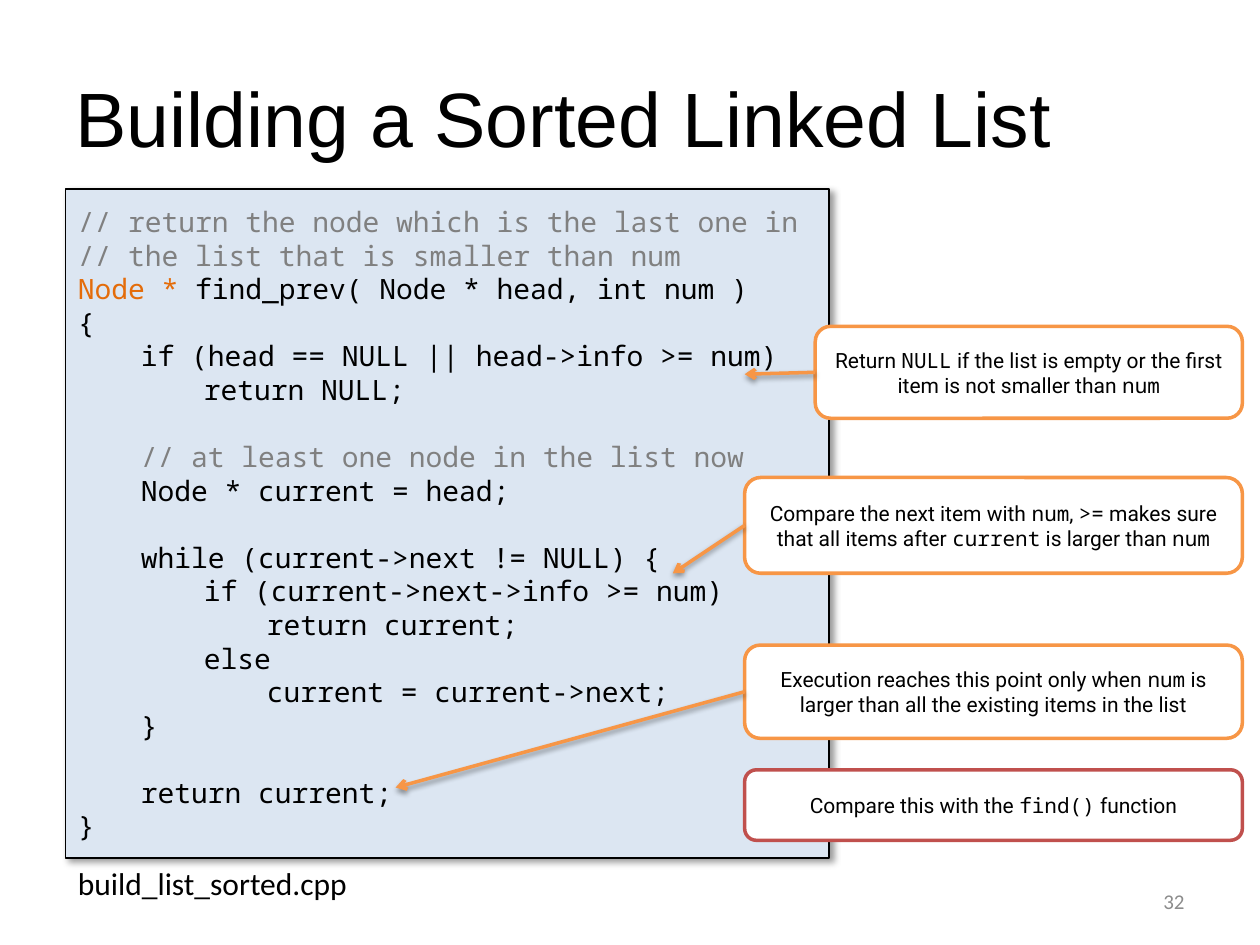
from lxml import etree
from pptx import Presentation
from pptx.dml.color import RGBColor
from pptx.enum.shapes import MSO_CONNECTOR, MSO_SHAPE
from pptx.enum.text import MSO_ANCHOR, PP_ALIGN
from pptx.oxml.ns import qn
from pptx.util import Inches, Pt

BLACK = RGBColor(0x00, 0x00, 0x00)
WHITE = RGBColor(0xFF, 0xFF, 0xFF)
GRAY = RGBColor(0x80, 0x80, 0x80)
PAGE_GRAY = RGBColor(0x8C, 0x8C, 0x8C)
PALE_BLUE = RGBColor(0xDC, 0xE6, 0xF2)
DARK_ORANGE = RGBColor(0xE4, 0x6C, 0x0A)
ORANGE = RGBColor(0xF7, 0x96, 0x46)
RED = RGBColor(0xC0, 0x50, 0x4D)

RECTANGLE = MSO_SHAPE.RECTANGLE
ROUNDED = MSO_SHAPE.ROUNDED_RECTANGLE
STRAIGHT = MSO_CONNECTOR.STRAIGHT
MIDDLE, TOP = MSO_ANCHOR.MIDDLE, MSO_ANCHOR.TOP
LEFT, CENTER, RIGHT = PP_ALIGN.LEFT, PP_ALIGN.CENTER, PP_ALIGN.RIGHT
MONO = "Noto Sans Mono"


def add_run(paragraph, text, font_name, size, color):
    run = paragraph.add_run()
    run.text = text
    run.font.name = font_name
    run.font.size = Pt(size)
    run.font.color.rgb = color


def add_shadow(shape, blur, distance, degrees, opacity):
    """Give a shape or connector a black outer shadow; blur and distance in points."""
    properties = shape._element.spPr
    effects = properties.find(qn("a:effectLst"))
    if effects is None:
        effects = etree.SubElement(properties, qn("a:effectLst"))
    shadow = etree.SubElement(
        effects, qn("a:outerShdw"), blurRad=str(Pt(blur)), dist=str(Pt(distance)),
        dir=str(degrees * 60000), algn="tl", rotWithShape="0")
    color = etree.SubElement(shadow, qn("a:srgbClr"), val="000000")
    etree.SubElement(color, qn("a:alpha"), val=str(opacity * 1000))


presentation = Presentation()
presentation.slide_width = Inches(10)
presentation.slide_height = Inches(7.5)
slide = presentation.slides.add_slide(presentation.slide_layouts[6])

# Title, page number and file name
labels = [
    ("Building a Sorted Linked List", 0.5, 0.3, 9, 1.25, "Arial", 44, BLACK, LEFT, MIDDLE, True),
    ("32", 7.17, 6.95, 2.33, 0.4, "Calibri", 12, PAGE_GRAY, RIGHT, MIDDLE, True),
    ("build_list_sorted.cpp", 0.52, 6.81, 2.36, 0.4, "Calibri", 18, BLACK, LEFT, TOP, False),
]
for text, left, top, width, height, font_name, size, color, align, anchor, wrap in labels:
    label = slide.shapes.add_textbox(Inches(left), Inches(top), Inches(width), Inches(height))
    label.text_frame.word_wrap = wrap
    label.text_frame.vertical_anchor = anchor
    paragraph = label.text_frame.paragraphs[0]
    paragraph.alignment = align
    add_run(paragraph, text, font_name, size, color)

# Code listing: each entry is (starts a new block, runs)
code_lines = [
    (False, [("// return the node which is the last one in", GRAY)]),
    (False, [("// the list that is smaller than num", GRAY)]),
    (False, [("Node * ", DARK_ORANGE), ("find_prev( Node * head, int num )", BLACK)]),
    (False, [("{", BLACK)]),
    (False, [("\tif (head == NULL || head->info >= num)", BLACK)]),
    (False, [("\t\treturn NULL;", BLACK)]),
    (True, [("\t// at least one node in the list now", GRAY)]),
    (False, [("\tNode * current = head;", BLACK)]),
    (True, [("\twhile (current->next != NULL) {", BLACK)]),
    (False, [("\t\tif (current->next->info >= num)", BLACK)]),
    (False, [("\t\t\treturn current;", BLACK)]),
    (False, [("\t\telse", BLACK)]),
    (False, [("\t\t\tcurrent = current->next;", BLACK)]),
    (False, [("\t}", BLACK)]),
    (True, [("\treturn current;", BLACK)]),
    (False, [("}", BLACK)]),
]
code_box = slide.shapes.add_shape(
    RECTANGLE, Inches(0.52), Inches(1.5), Inches(6.06), Inches(5.31))
code_box.shadow.inherit = False
code_box.fill.solid()
code_box.fill.fore_color.rgb = PALE_BLUE
code_box.line.color.rgb = BLACK
code_box.line.width = Pt(0.75)
add_shadow(code_box, 4, 3, 45, 40)
code_frame = code_box.text_frame
code_frame.word_wrap = True
code_frame.vertical_anchor = MIDDLE
for index, (new_block, runs) in enumerate(code_lines):
    paragraph = code_frame.add_paragraph() if index else code_frame.paragraphs[0]
    paragraph.alignment = LEFT
    if new_block:
        paragraph.space_before = Pt(19.2)
    tab_stops = etree.SubElement(paragraph._p.get_or_add_pPr(), qn("a:tabLst"))
    for level in (1, 2, 3):
        etree.SubElement(tab_stops, qn("a:tab"), pos=str(Inches(0.5 * level)), algn="l")
    for text, color in runs:
        add_run(paragraph, text, MONO, 16, color)

# Callouts end at a common right edge; backticks mark code, the last value is the arrow tip
CALLOUT_RIGHT = 9.86
callouts = [
    ("Compare this with the `find()` function", 5.91, 6.11, 0.56, RED, None),
    ("Return `NULL` if the list is empty or the first item is not smaller than `num`",
     6.47, 2.59, 0.73, ORANGE, (5.91, 2.97)),
    ("Compare the next item with `num`, `>=` makes sure that all items after `current`"
     " is larger than `num`", 5.91, 3.79, 0.76, ORANGE, (5.34, 4.55)),
    ("Execution reaches this point only when `num` is larger than all the existing items"
     " in the list", 5.91, 5.12, 0.74, ORANGE, (3.14, 6.25)),
]
for text, left, top, height, color, tip in callouts:
    callout = slide.shapes.add_shape(
        ROUNDED, Inches(left), Inches(top), Inches(CALLOUT_RIGHT - left), Inches(height))
    callout.shadow.inherit = False
    callout.fill.solid()
    callout.fill.fore_color.rgb = WHITE
    callout.line.color.rgb = color
    callout.line.width = Pt(2)
    callout.text_frame.word_wrap = True
    callout.text_frame.vertical_anchor = MIDDLE
    paragraph = callout.text_frame.paragraphs[0]
    paragraph.alignment = CENTER
    for index, part in enumerate(text.split("`")):
        if part:
            add_run(paragraph, part, MONO if index % 2 else "Roboto", 12, BLACK)
    if tip:
        tip_x, tip_y = tip
        arrow = slide.shapes.add_connector(
            STRAIGHT, Inches(left), Inches(top + height / 2), Inches(tip_x), Inches(tip_y))
        arrow.begin_connect(callout, 1)
        arrow.line.color.rgb = color
        arrow.line.width = Pt(2)
        etree.SubElement(arrow.line._get_or_add_ln(), qn("a:tailEnd"), type="arrow")
        add_shadow(arrow, 3.1, 1.6, 90, 38)

presentation.save("out.pptx")
